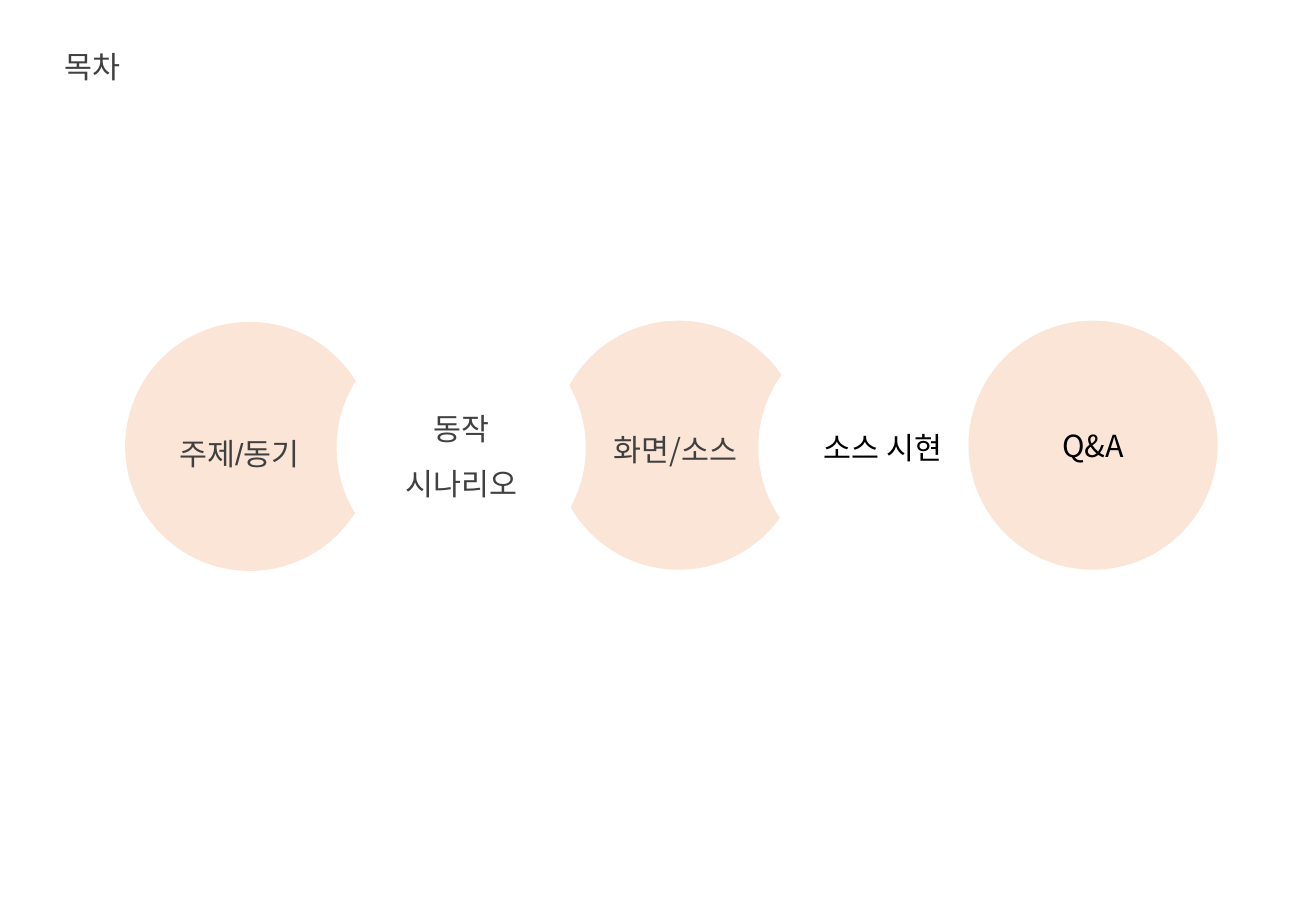
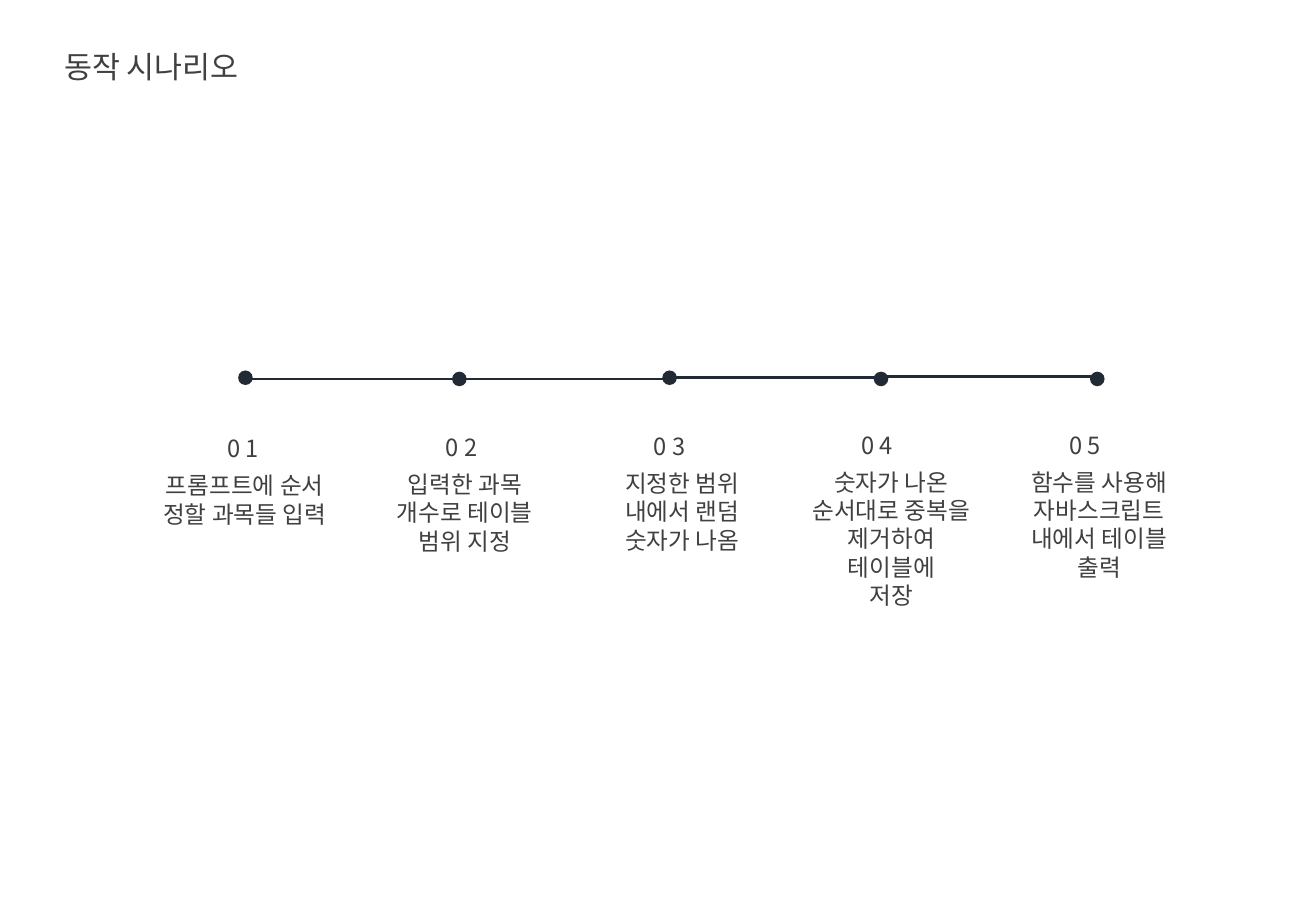
from dataclasses import dataclass
from itertools import pairwise

from lxml.etree import SubElement
from pptx import Presentation
from pptx.dml.color import RGBColor
from pptx.enum.shapes import MSO_CONNECTOR, MSO_SHAPE
from pptx.enum.text import MSO_ANCHOR, MSO_AUTO_SIZE, PP_ALIGN
from pptx.oxml.ns import qn
from pptx.util import Inches, Pt


@dataclass(frozen=True)
class Theme:
    peach: str = "FBE5D6"
    white: str = "FFFFFF"
    navy: str = "222A35"
    gray: str = "404040"
    black: str = "000000"
    font: str = "Noto Sans CJK KR"
    latin: str = "Arial"
    heading: int = 18
    body: int = 14
    rule: float = 1.5


T = Theme()
COLS, ROWS = 108.3, 75  # grid of square cells
CELL = Inches(0.1)

CIRCLE = 20.5
DOT = 1.2
STEP_W, NUMBER_W = 17.1, 6

# left, top, colour; later circles cover earlier ones
CIRCLES = [
    (10.3, 26.5, T.peach),
    (45.6, 26.4, T.peach),
    (27.7, 26.6, T.white),
    (62.4, 26.6, T.white),
    (79.7, 26.4, T.peach),
]

# label, left, top, height, font
AGENDA = [
    ("주제/동기", 11.3, 33.8, 5, T.latin),
    ("동작\n시나리오", 29.6, 31.8, 10.1, T.font),
    ("화면/소스", 47.2, 33.5, 5, T.font),
]

# text, text left, number left, text height
STEPS = [
    ("프롬프트에 순서 정할 과목들 입력", 11.6, 17, 5.7),
    ("입력한 과목 개수로 테이블 범위 지정", 29.7, 35, 8.1),
    ("지정한 범위 내에서 랜덤 숫자가 나옴", 47.6, 52.1, 8.1),
    ("숫자가 나온 순서대로 중복을 제거하여\n테이블에\n저장", 64.8, 69.2, 10.4),
    ("함수를 사용해 자바스크립트 내에서 테이블 출력", 81.9, 86.3, 8.1),
]
DOTS = [(19.6, 30.5), (37.2, 30.6), (54.5, 30.5), (71.9, 30.6), (89.7, 30.6)]
LINE_ROWS = [31.2, 31.2, 31.1, 31]


def grid(*cells):
    return [round(c * CELL) for c in cells]


def write(tf, text, size=T.heading, color=T.gray, font=T.font,
          align=PP_ALIGN.CENTER, spacing=None):
    tf.word_wrap = True
    for i, line in enumerate(text.split("\n")):
        p = tf.paragraphs[0] if i == 0 else tf.add_paragraph()
        p.alignment = align
        if spacing:
            p.line_spacing = spacing
        r = p.add_run()
        r.text = line
        r.font.size = Pt(size)
        r.font.name = font
        r.font.color.rgb = RGBColor.from_string(color)
        SubElement(r.font._element, qn("a:ea")).set("typeface", T.font)


def add_text(s, text, left, top, width, height, **fmt):
    tf = s.shapes.add_textbox(*grid(left, top, width, height)).text_frame
    write(tf, text, **fmt)
    tf.auto_size = MSO_AUTO_SIZE.SHAPE_TO_FIT_TEXT


def add_circle(s, left, top, size, color):
    sp = s.shapes.add_shape(MSO_SHAPE.OVAL, *grid(left, top, size, size))
    sp.shadow.inherit = False
    sp.fill.solid()
    sp.fill.fore_color.rgb = RGBColor.from_string(color)
    sp.line.fill.background()
    sp.text_frame.vertical_anchor = MSO_ANCHOR.MIDDLE
    return sp


def add_line(s, x1, x2, y):
    line = s.shapes.add_connector(MSO_CONNECTOR.STRAIGHT, *grid(x1, y, x2, y))
    line.line.color.rgb = RGBColor.from_string(T.navy)
    line.line.width = Pt(T.rule)
    SubElement(line._element.spPr, qn("a:effectLst"))


def add_titled_slide(prs, title, width):
    s = prs.slides.add_slide(prs.slide_layouts[6])
    add_text(s, title, 4.3, 3.5, width, 4, font=T.latin, align=PP_ALIGN.LEFT)
    return s


def agenda_slide(prs):
    s = add_titled_slide(prs, "목차", 15.1)
    circles = [add_circle(s, left, top, CIRCLE, color)
               for left, top, color in CIRCLES]
    for sp, label in zip(circles[-2:], ("소스 시현", "Q&A")):
        write(sp.text_frame, label, color=T.black)
    for label, left, top, height, font in AGENDA:
        add_text(s, label, left, top, 16.8, height, font=font, spacing=1.5)


def scenario_slide(prs):
    s = add_titled_slide(prs, "동작 시나리오", 24.2)
    centers = [left + DOT / 2 for left, _ in DOTS]
    for (x1, x2), y in zip(pairwise(centers), LINE_ROWS):
        add_line(s, x1, x2, y)
    for left, top in DOTS:
        add_circle(s, left, top, DOT, T.navy)
    for i, (text, left, number_left, height) in enumerate(STEPS):
        top = 38.3 - 0.1 * min(i, 3)
        add_text(s, f"0 {i + 1}", number_left, top - 4.2, NUMBER_W, 4.5,
                 size=T.body, spacing=1.5)
        add_text(s, text, left, top, STEP_W, height, size=T.body)


def main():
    prs = Presentation()
    prs.slide_width, prs.slide_height = grid(COLS, ROWS)
    agenda_slide(prs)
    scenario_slide(prs)
    prs.save("out.pptx")


if __name__ == "__main__":
    main()
